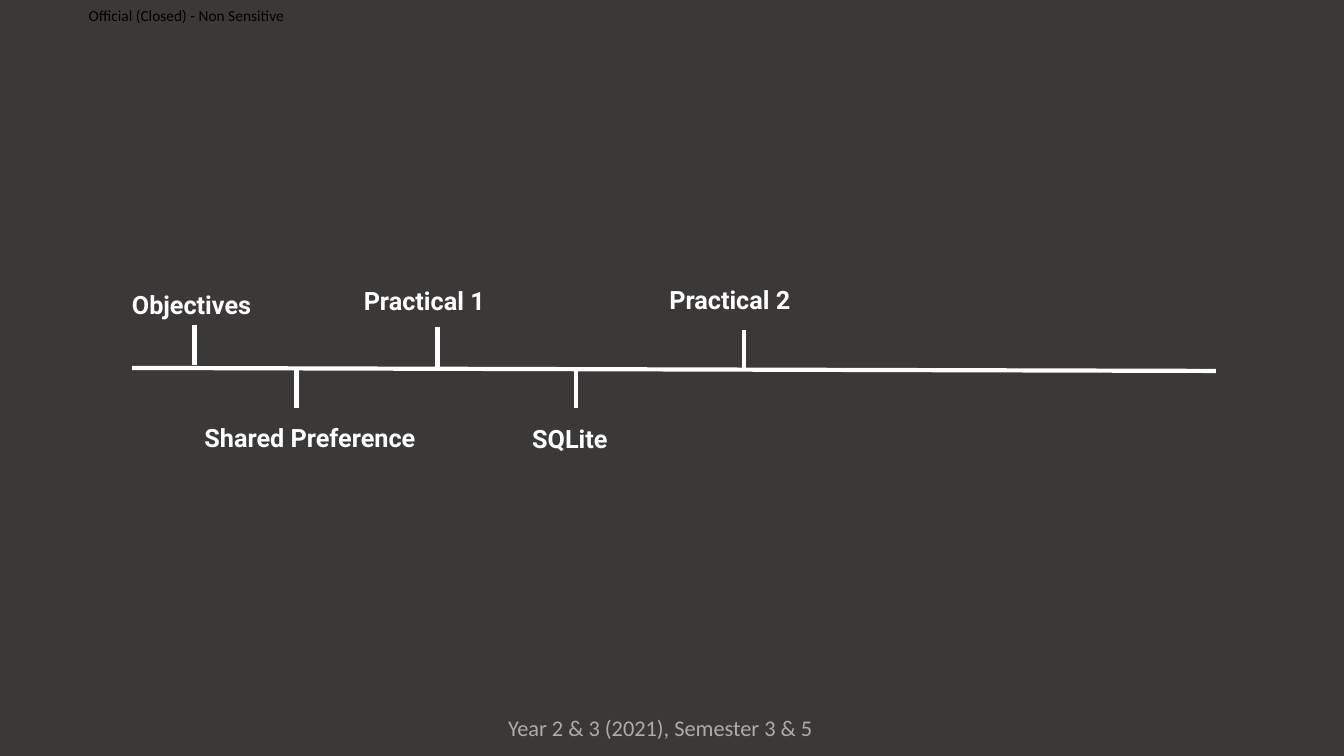
import pptx
import pptx.util
import pptx.dml.color
import pptx.enum.shapes
import pptx.enum.text
import pptx.oxml.ns
import lxml.etree

Inches = pptx.util.Inches
Pt = pptx.util.Pt
ALIGN = pptx.enum.text.PP_ALIGN
ANCHOR = pptx.enum.text.MSO_ANCHOR

BACKGROUND = "3B3838"
WHITE = "FFFFFF"

# Label, label left, label top, label width, tick x, tick top (relative to the timeline)
MILESTONES = [
    ("Objectives", 0, 0.05, 1.43, 0.72, 0.45),
    ("Shared Preference", 0.72, 1.37, 2.36, 1.73, 0.88),
    ("Practical 1", 2.3, 0.01, 1.43, 3.13, 0.47),
    ("SQLite", 3.97, 1.38, 1.07, 4.5, 0.88),
    ("Practical 2", 5.33, 0, 1.43, 6.17, 0.5),
]
TICK_LENGTH = 0.4


def rgb(color):
    return pptx.dml.color.RGBColor.from_string(color)


def add_label(slide, box, text, font, size, color, bold=False,
              align=ALIGN.LEFT, margin=None):
    label = slide.shapes.add_textbox(*map(Inches, box))
    frame = label.text_frame
    frame.word_wrap = True
    if margin is not None:
        frame.margin_left = frame.margin_right = Inches(margin)
        frame.margin_top = frame.margin_bottom = Inches(margin)
        frame.vertical_anchor = ANCHOR.MIDDLE
    paragraph = frame.paragraphs[0]
    paragraph.text = text
    paragraph.alignment = align
    paragraph.font.name = font
    paragraph.font.size = Pt(size)
    paragraph.font.bold = bold
    paragraph.font.color.rgb = rgb(color)


def add_line(slide, x1, y1, x2, y2):
    line = slide.shapes.add_connector(
        pptx.enum.shapes.MSO_CONNECTOR.STRAIGHT, *map(Inches, (x1, y1, x2, y2)))
    line.line.color.rgb = rgb(WHITE)
    line.line.width = Pt(3)
    lxml.etree.SubElement(line._element.spPr, pptx.oxml.ns.qn("a:effectLst"))


def add_classification(slide, left, top, width, height):
    add_label(slide, (left, top, width, height),
              "Official (Closed) - Non Sensitive", "Calibri", 11, "000000", margin=0)


def add_footer(slide, left, top, width, height):
    add_label(slide, (left, top, width, height),
              "Year 2 & 3 (2021), Semester 3 & 5", "Calibri", 16, "AFABAB",
              align=ALIGN.CENTER)


def add_timeline(slide, left, top, width):
    # Slightly sloping axis
    add_line(slide, left + 0.1, top + 0.88, left + width, top + 0.91)
    # Milestones above and below the axis
    for text, label_x, label_y, label_width, tick_x, tick_y in MILESTONES:
        add_label(slide, (left + label_x, top + label_y, label_width, 0.4),
                  text, "Roboto", 18, WHITE, bold=True)
        add_line(slide, left + tick_x, top + tick_y,
                 left + tick_x, top + tick_y + TICK_LENGTH)


def main():
    deck = pptx.Presentation()
    deck.slide_width = Inches(13.33)
    deck.slide_height = Inches(7.5)
    slide = deck.slides.add_slide(deck.slide_layouts[6])
    slide.background.fill.solid()
    slide.background.fill.fore_color.rgb = rgb(BACKGROUND)

    add_footer(slide, 4.82, 7.04, 3.46, 0.37)
    add_classification(slide, 0.88, 0, 2.3, 0.31)
    add_timeline(slide, 1.21, 2.77, 10.85)
    deck.save("out.pptx")


if __name__ == "__main__":
    main()
